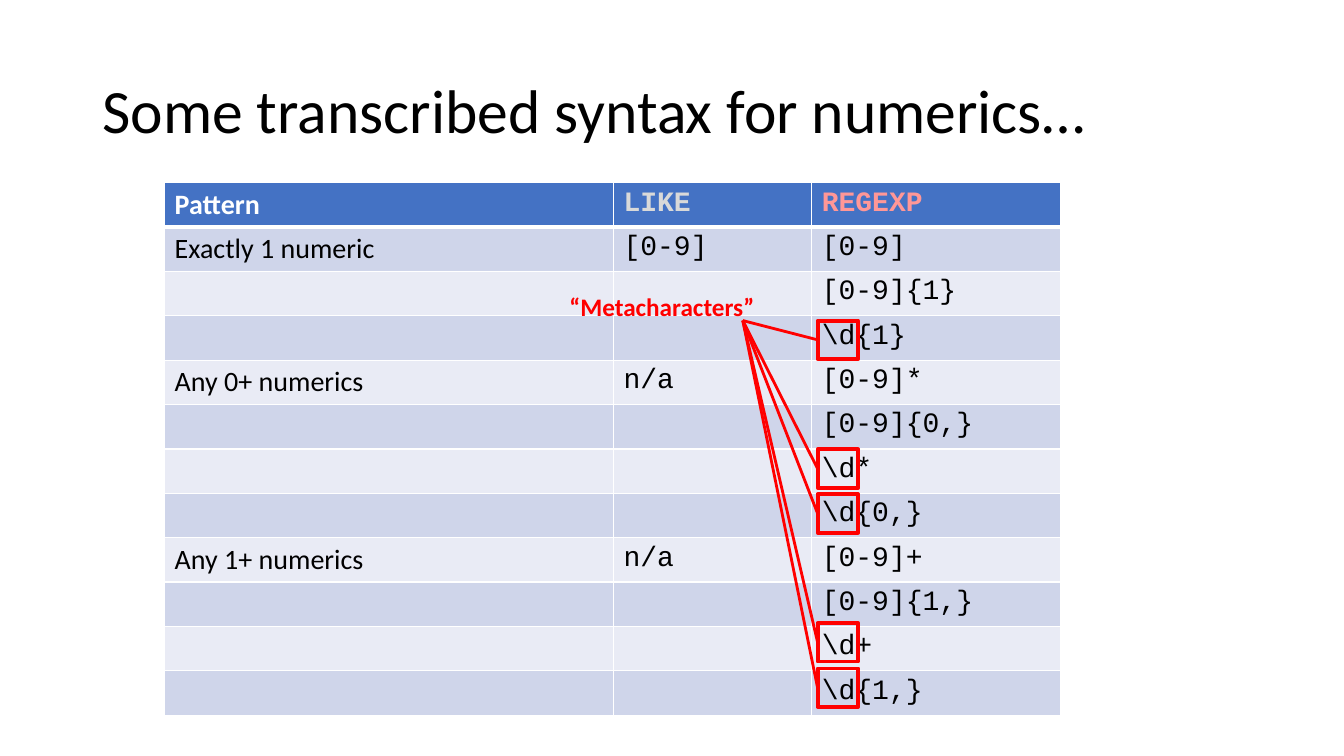
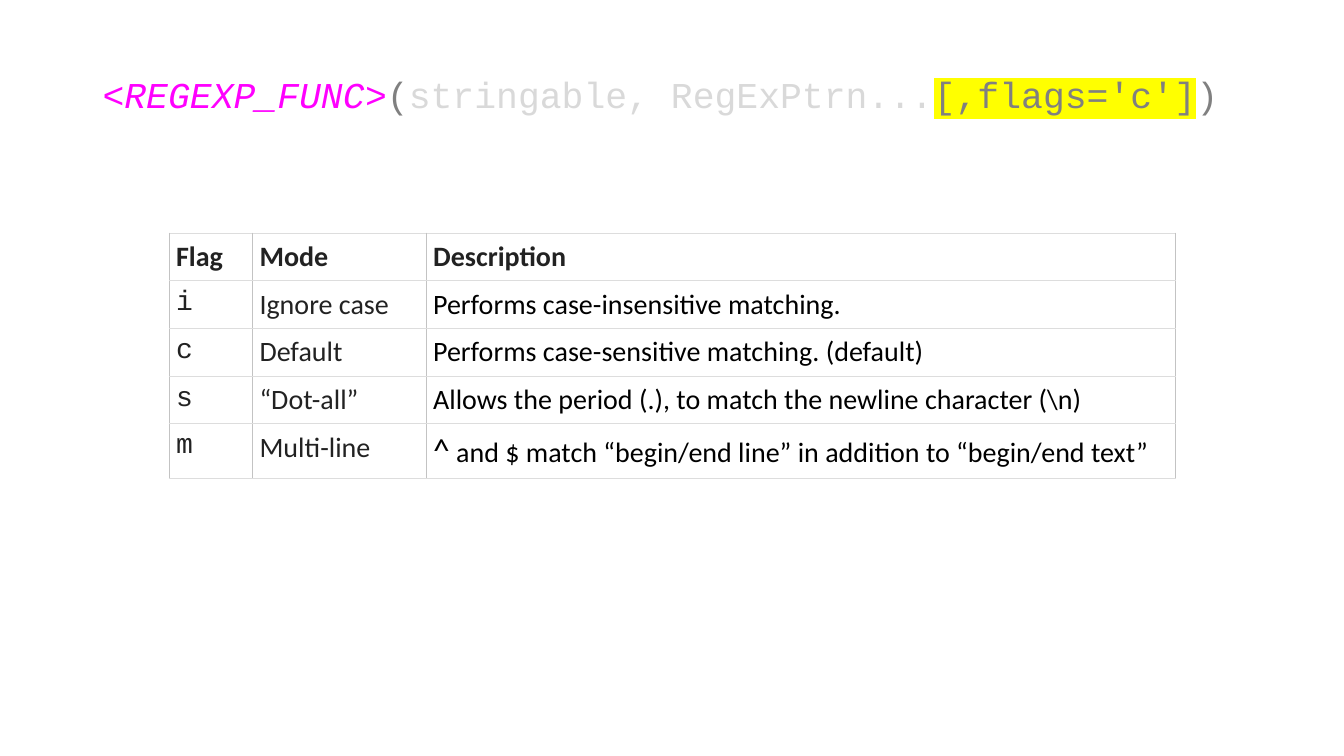
"""Build two slides on regular expression syntax and flags."""
from lxml.etree import SubElement
from pptx import Presentation
from pptx.dml.color import RGBColor
from pptx.enum.shapes import MSO_CONNECTOR, MSO_SHAPE
from pptx.enum.text import MSO_ANCHOR
from pptx.oxml.ns import qn
from pptx.util import Pt

COLORS = {
    "black": "000000", "white": "FFFFFF", "ink": "222222", "red": "FF0000",
    "salmon": "FF9797", "magenta": "FF00FF", "yellow": "FFFF00",
    "gray": "808080", "silver": "D9D9D9", "blue": "4472C4",
    "band": "CFD5EA", "pale": "E9EBF5", "side": "C3C3C3", "rule": "DDDDDD",
}
TEXT, CODE = "Calibri", "Courier New"
TITLE_BOX = {"vertical_anchor": MSO_ANCHOR.MIDDLE, "word_wrap": True}


def add_run(paragraph, text, color, highlight=None, **formats):
    run = paragraph.add_run()
    run.text = text
    for name, value in formats.items():
        setattr(run.font, name, value)
    run.font.color.rgb = RGBColor.from_string(COLORS[color])
    if highlight:
        mark = SubElement(run.font._element, qn("a:highlight"))
        SubElement(mark, qn("a:srgbClr"), val=COLORS[highlight])
        run.font._element.find(qn("a:solidFill")).addnext(mark)


def add_grid(slide, left, top, widths, heights, rows, header, body, fills, edges, margins, header_rule):
    frame = slide.shapes.add_table(
        len(rows), len(widths), Pt(left), Pt(top), Pt(sum(widths)), Pt(sum(heights)))
    table = frame.table
    table.horz_banding = False
    for column, width in zip(table.columns, widths):
        column.width = Pt(width)
    for r, (row, height) in enumerate(zip(rows, heights)):
        table.rows[r].height = Pt(height)
        for c, text in enumerate(row):
            cell = table.cell(r, c)
            for side, margin in margins.items():
                setattr(cell, f"margin_{side}", Pt(margin))
            for edge, (color, width) in edges.items():
                if (r, edge) in ((0, "B"), (1, "T")):
                    width = header_rule
                line = SubElement(cell._tc.get_or_add_tcPr(), qn(f"a:ln{edge}"), w=str(Pt(width)))
                SubElement(SubElement(line, qn("a:solidFill")), qn("a:srgbClr"), val=COLORS[color])
            cell.fill.solid()
            cell.fill.fore_color.rgb = RGBColor.from_string(COLORS[fills[r]])
            if text:
                font, color = (body if r else header)[c]
                add_run(cell.text_frame.paragraphs[0], text, color,
                        name=font, size=Pt(20), bold=r == 0)
    return table


presentation = Presentation()
presentation.slide_width, presentation.slide_height = Pt(960), Pt(540)

titles = [
    ((66.2, 28.8, 828, 104.4), 44, TEXT,
     [("Some transcribed syntax for numerics…", "black", {})]),
    ((66.2, 31, 812, 75.6), 26, CODE,
     [("<", "magenta", {}),
      ("REGEXP_FUNC", "magenta", {"italic": True}),
      (">", "magenta", {}),
      ("(", "gray", {}),
      ("stringable, RegExPtrn...", "silver", {}),
      ("[,flags='c']", "gray", {"highlight": "yellow"}),
      (")", "gray", {})]),
]
slides = []
for place, size, font, runs in titles:
    slide = presentation.slides.add_slide(presentation.slide_layouts[6])
    slides.append(slide)
    frame = slide.shapes.add_textbox(*map(Pt, place)).text_frame
    for name, value in TITLE_BOX.items():
        setattr(frame, name, value)
    paragraph = frame.paragraphs[0]
    paragraph.line_spacing = 0.9
    for text, color, formats in runs:
        add_run(paragraph, text, color, name=font, size=Pt(size), **formats)
syntax_slide, flags_slide = slides

patterns = [
    ("Pattern", "LIKE", "REGEXP"),
    ("Exactly 1 numeric", "[0-9]", "[0-9]"),
    ("", "", "[0-9]{1}"),
    ("", "", r"\d{1}"),
    ("Any 0+ numerics", "n/a", "[0-9]*"),
    ("", "", "[0-9]{0,}"),
    ("", "", r"\d*"),
    ("", "", r"\d{0,}"),
    ("Any 1+ numerics", "n/a", "[0-9]+"),
    ("", "", "[0-9]{1,}"),
    ("", "", r"\d+"),
    ("", "", r"\d{1,}"),
]
add_grid(
    syntax_slide, 117.6, 130.5, [320.6, 141.6, 177.8], [31.7] * len(patterns), patterns,
    header=[(TEXT, "white"), (CODE, "silver"), (CODE, "salmon")],
    body=[(TEXT, "black"), (CODE, "black"), (CODE, "black")],
    fills=["blue"] + ["band" if r % 2 else "pale" for r in range(1, len(patterns))],
    edges={edge: ("white", 1) for edge in "LRTB"},
    margins={"left": 7.2, "right": 7.2, "top": 3.6, "bottom": 3.6}, header_rule=3)

red = RGBColor.from_string(COLORS["red"])
label = syntax_slide.shapes.add_textbox(Pt(399.6), Pt(204.5), Pt(208), Pt(29)).text_frame
label.word_wrap = True
add_run(label.paragraphs[0], "“Metacharacters”", "red", name=TEXT, size=Pt(18), bold=True)

for top in (229, 321, 353, 445, 477.5):
    marker = syntax_slide.shapes.add_shape(
        MSO_SHAPE.RECTANGLE, Pt(584), Pt(top), Pt(29), Pt(27.5))
    marker.shadow.inherit = False
    marker.fill.background()
    pointer = syntax_slide.shapes.add_connector(
        MSO_CONNECTOR.STRAIGHT, Pt(584), Pt(top + 13.75), Pt(530.6), Pt(229))
    SubElement(pointer._element.spPr, qn("a:effectLst"))
    for shape, width in ((marker, 2.75), (pointer, 2)):
        shape.line.color.rgb = red
        shape.line.width = Pt(width)

flags = [
    ("Flag", "Mode", "Description"),
    ("i", "Ignore case", "Performs case-insensitive matching."),
    ("c", "Default", "Performs case-sensitive matching. (default)"),
    ("s", "“Dot-all”", r"Allows the period (.), to match the newline character (\n)"),
    ("m", "Multi-line", ""),
]
flags_table = add_grid(
    flags_slide, 121, 166.5, [59.6, 124, 535], [34.1] * 4 + [38.7], flags,
    header=[(TEXT, "ink")] * 3,
    body=[(CODE, "ink"), (TEXT, "ink"), (TEXT, "black")],
    fills=["white"] * len(flags),
    edges={"L": ("side", 0.75), "R": ("side", 0.75), "T": ("rule", 0.75), "B": ("rule", 0.75)},
    margins=dict.fromkeys(("left", "right", "top", "bottom"), 4.8), header_rule=0.75)
multi_line = flags_table.cell(4, 2).text_frame.paragraphs[0]
for text, size in (("^", 24), (" and $ match “begin/end line” in addition to “begin/end text”", 20)):
    add_run(multi_line, text, "black", name=TEXT, size=Pt(size), bold=False)

presentation.save("out.pptx")
